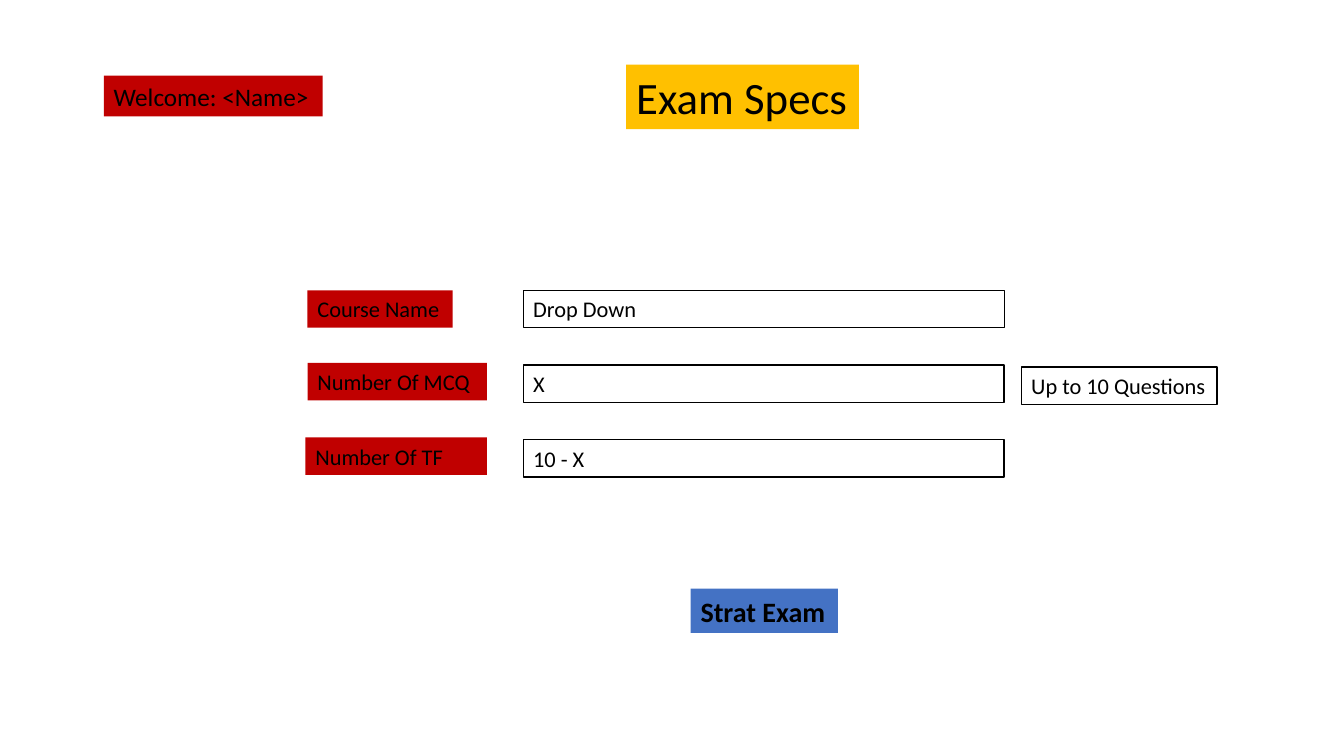
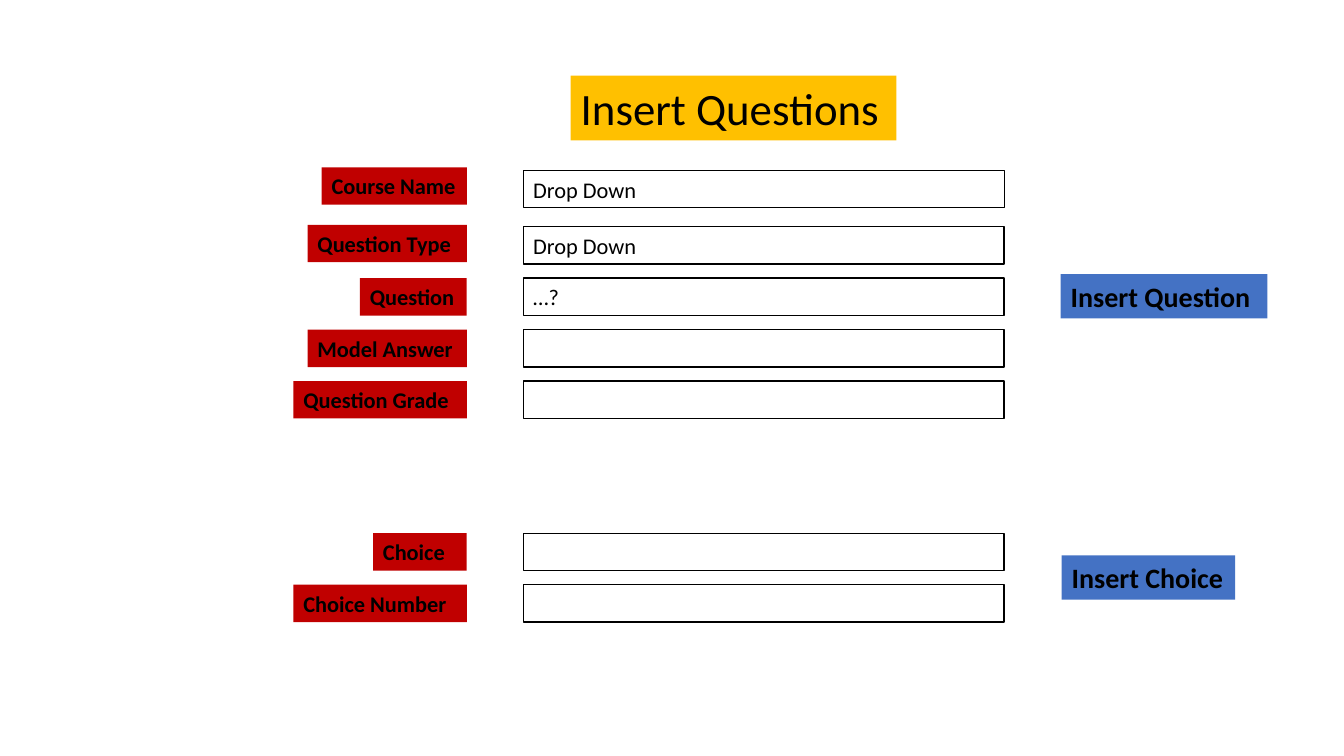
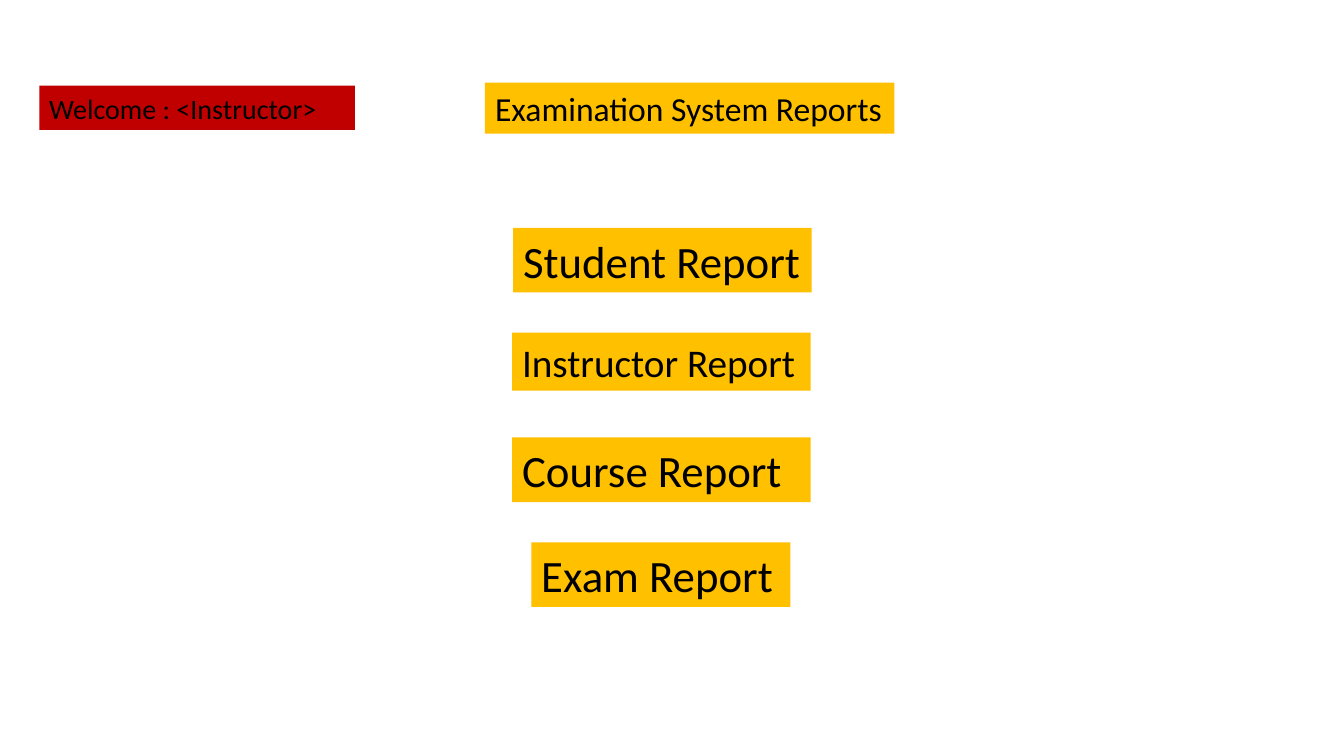
from pptx import Presentation
from pptx.dml.color import RGBColor
from pptx.enum.shapes import MSO_SHAPE as Shape
from pptx.enum.text import MSO_ANCHOR as Anchor, MSO_AUTO_SIZE as AutoSize, PP_ALIGN as Align
from pptx.util import Inches, Pt

RED = RGBColor(0xC0, 0x00, 0x00)
GOLD = RGBColor(0xFF, 0xC0, 0x00)
BLUE = RGBColor(0x44, 0x72, 0xC4)
WHITE = RGBColor(0xFF, 0xFF, 0xFF)
BLACK = RGBColor(0x00, 0x00, 0x00)
FONT = "Calibri"
FORM_SIZE = 16
BUTTON_SIZE = 20
FIELD_LEFT, FIELD_WIDTH = 5.19, 4.77
EXAM_TOP, EXAM_PITCH = 2.88, 0.74
QUESTION_TOP, CHOICE_TOP, QUESTION_PITCH = 2.25, 5.29, 0.51
LABEL_RIGHT = 4.63
REPORT_TOP, REPORT_PITCH = 2.26, 1.04


def box_height(size):
    """Return the height in inches of a box holding one line of text."""
    return size * 1.22 / 72 + 0.1


def style_box(shape, left, top, width, text, size, fill, bold=False):
    """Place a shape and give it its fill and left-aligned text."""
    shape.left, shape.top = Inches(left), Inches(top)
    shape.width, shape.height = Inches(width), Inches(box_height(size))
    shape.fill.solid()
    shape.fill.fore_color.rgb = fill
    frame = shape.text_frame
    frame.word_wrap = True
    frame.auto_size = AutoSize.NONE
    frame.vertical_anchor = Anchor.MIDDLE
    paragraph = frame.paragraphs[0]
    paragraph.text = text
    paragraph.alignment = Align.LEFT
    font = paragraph.font
    font.name, font.size, font.bold = FONT, Pt(size), bold
    font.color.rgb = BLACK


def add_box(slide, left, top, width, text, size, fill, bold=False, outline=0):
    """Add a filled rectangle, outlined in black when a weight is given."""
    shape = slide.shapes.add_shape(Shape.RECTANGLE, 0, 0, 0, 0)
    shape.shadow.inherit = False
    style_box(shape, left, top, width, text, size, fill, bold)
    if outline:
        shape.line.color.rgb = BLACK
        shape.line.width = Pt(outline)
    else:
        shape.line.fill.background()


def add_titled_slide(presentation, title, left, top, width, size=32):
    """Add a slide whose title placeholder is a gold box."""
    slide = presentation.slides.add_slide(presentation.slide_layouts[5])
    style_box(slide.shapes.title, left, top, width, title, size, GOLD)
    return slide


def add_button(slide, left, top, width, text):
    """Add a blue button with bold text."""
    add_box(slide, left, top, width, text, BUTTON_SIZE, BLUE, bold=True)


def add_form_row(slide, top, label, left, width, value="", shift=0, bold=False, outline=1):
    """Add a red label, shifted from the row's top, and its input field."""
    add_box(slide, FIELD_LEFT, top, FIELD_WIDTH, value, FORM_SIZE, WHITE, outline=outline)
    add_box(slide, left, top + shift, width, label, FORM_SIZE, RED, bold)


def add_question_row(slide, top, label, width, value="", shift=0, outline=1):
    """Add a form row whose bold label ends at the common right edge."""
    add_form_row(slide, top, label, LABEL_RIGHT - width, width, value, shift, True, outline)


def build_exam_specs(presentation):
    """Build the form that starts an exam."""
    slide = add_titled_slide(presentation, "Exam Specs", 6.21, 0.64, 2.31)
    add_box(slide, 1.03, 0.75, 2.17, "Welcome: <Name>", 18, RED)
    rows = [
        ("Course Name", 3.05, 1.44, "Drop Down", 0, False, 0.75),
        ("Number Of MCQ", 3.05, 1.78, "X", -0.02),
        ("Number Of TF", 3.03, 1.8, "10 - X", -0.02),
    ]
    for index, row in enumerate(rows):
        add_form_row(slide, EXAM_TOP + index * EXAM_PITCH, *row)
    add_box(slide, 10.13, 3.64, 1.94, "Up to 10 Questions", FORM_SIZE, WHITE, outline=1)
    add_button(slide, 6.85, 5.84, 1.46, "Strat Exam")


def build_insert_questions(presentation):
    """Build the form that stores questions and choices."""
    slide = add_titled_slide(presentation, "Insert Questions", 5.66, 0.75, 3.23)
    add_question_row(slide, 1.69, "Course Name", 1.44, "Drop Down", -0.03, 0.75)
    groups = [
        (QUESTION_TOP, [
            ("Question Type", 1.58, "Drop Down", -0.02),
            ("Question", 1.06, "…?"),
            ("Model Answer", 1.58),
            ("Question Grade", 1.72),
        ]),
        (CHOICE_TOP, [("Choice", 0.93), ("Choice Number", 1.72)]),
    ]
    for group_top, rows in groups:
        for index, row in enumerate(rows):
            add_question_row(slide, group_top + index * QUESTION_PITCH, *row)
    add_button(slide, 10.52, 2.72, 2.05, "Insert Question")
    add_button(slide, 10.53, 5.51, 1.72, "Insert Choice")


def build_reports(presentation):
    """Build the menu of reports."""
    slide = add_titled_slide(presentation, "Examination System Reports", 4.81, 0.82, 4.06, 24)
    add_box(slide, 0.39, 0.85, 3.13, "Welcome : <Instructor>", 20, RED)
    reports = [
        ("Student Report", 5.09, 2.96, 32),
        ("Instructor Report", 5.08, 2.96, 28),
        ("Course Report", 5.08, 2.96, 32),
        ("Exam Report", 5.27, 2.57, 32),
    ]
    for index, (text, left, width, size) in enumerate(reports):
        add_box(slide, left, REPORT_TOP + index * REPORT_PITCH, width, text, size, GOLD)


def main():
    """Build and save the presentation."""
    presentation = Presentation()
    presentation.slide_width, presentation.slide_height = Inches(13.33), Inches(7.5)
    build_exam_specs(presentation)
    build_insert_questions(presentation)
    build_reports(presentation)
    presentation.save("out.pptx")


if __name__ == "__main__":
    main()
